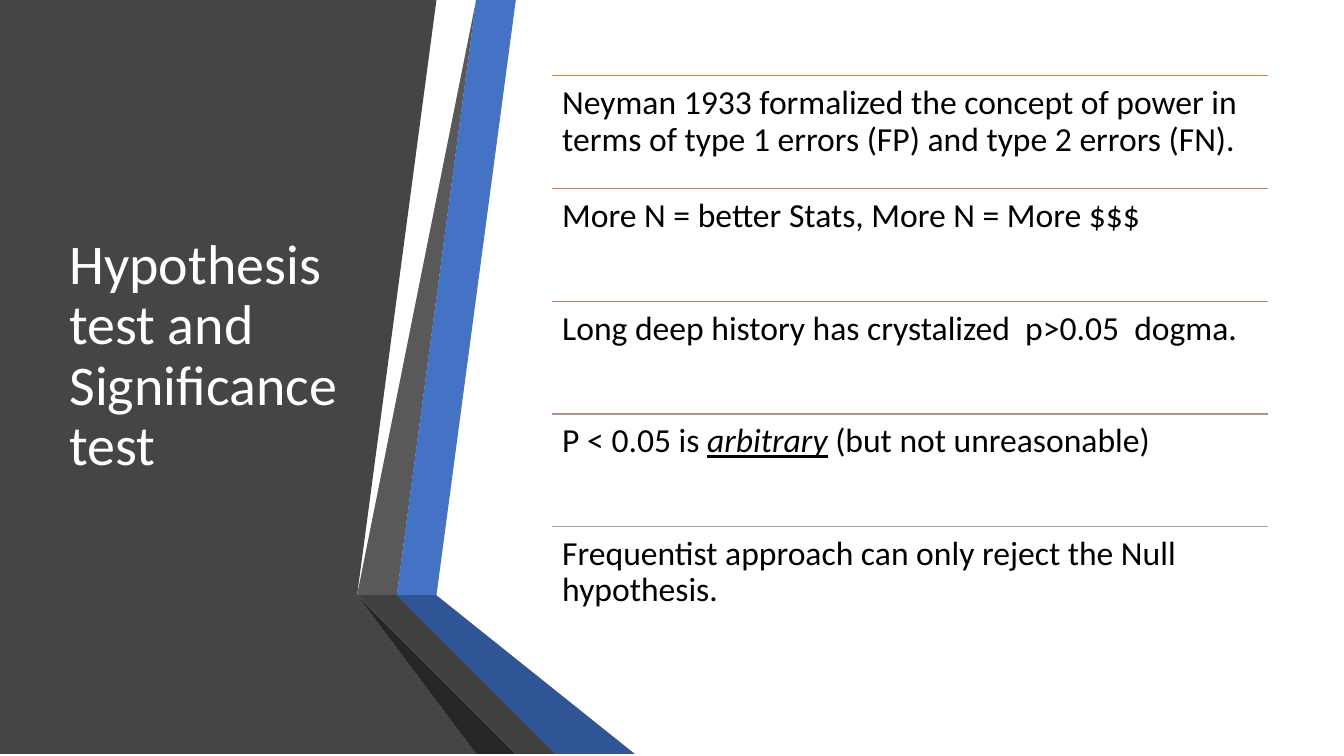
from dataclasses import dataclass

from lxml.etree import SubElement
from pptx import Presentation
from pptx.dml.color import RGBColor
from pptx.enum.shapes import MSO_CONNECTOR
from pptx.enum.text import MSO_ANCHOR, MSO_AUTO_SIZE, PP_ALIGN
from pptx.oxml.ns import qn
from pptx.util import Cm, Pt


@dataclass(frozen=True)
class Theme:
    font: str = "Calibri"
    title_size: int = 40
    statement_size: int = 24
    line_spacing: float = 0.9
    rule_width: int = 1
    title: str = "FFFFFF"
    text: str = "000000"
    panel: str = "454545"
    blue: str = "4472C4"
    blue_fold: str = "2F5597"
    blue_edge: str = "203864"
    grey: str = "595959"
    grey_fold: str = "404040"
    grey_edge: str = "262626"
    rules: tuple = ("ED7D31", "D87A51", "C48170", "B4908B", "A5A5A5")


THEME = Theme()
SLIDE_WIDTH, SLIDE_HEIGHT = 33.87, 19.05
LIST_LEFT, LIST_TOP, LIST_WIDTH, ROW_HEIGHT = 13.92, 1.91, 18.03, 2.84

RIBBONS = (
    (THEME.panel, ((0, 0), (11.4, 0), (9.04, 14.63), (12.24, SLIDE_HEIGHT), (0, SLIDE_HEIGHT))),
    (THEME.blue, ((10.06, 14.68), (10.74, 14.81), (13.18, 0), (12.47, 0))),
    (THEME.grey, ((12.32, 0), (11.61, 0), (9.22, 14.55), (9.91, 14.66))),
    (THEME.grey_edge, ((9.22, 14.55), (12.47, SLIDE_HEIGHT), (12.62, SLIDE_HEIGHT))),
    (THEME.blue_edge, ((10.06, 14.71), (14.07, SLIDE_HEIGHT), (14.22, SLIDE_HEIGHT))),
    (THEME.blue_fold, ((10.06, 14.71), (14.22, SLIDE_HEIGHT), (15.98, SLIDE_HEIGHT),
                       (10.74, 14.81), (10.06, 14.68))),
    (THEME.grey_fold, ((13.92, SLIDE_HEIGHT), (10.03, 14.81), (9.88, 14.68), (9.91, 14.66),
                       (9.22, 14.55), (12.62, SLIDE_HEIGHT))),
)

STATEMENTS = (
    (("Neyman 1933 formalized the concept of power in terms of type 1 errors (FP) "
      "and type 2 errors (FN).", False),),
    (("More N = better Stats, More N = More $$$", False),),
    (("Long deep history has crystalized  p>0.05  dogma.", False),),
    (("P < 0.05 is ", False), ("arbitrary", True), (" (but not unreasonable)", False)),
    (("Frequentist approach can only reject the Null hypothesis.", False),),
)


def add_ribbon(slide, color, points):
    builder = slide.shapes.build_freeform(*points[0], scale=Cm(1))
    builder.add_line_segments(points[1:], close=True)
    shape = builder.convert_to_shape()
    shape.shadow.inherit = False
    shape.fill.solid()
    shape.fill.fore_color.rgb = RGBColor.from_string(color)
    shape.line.fill.background()


def write_runs(shape, runs, size, color, anchor):
    frame = shape.text_frame
    frame.word_wrap = True
    frame.auto_size = MSO_AUTO_SIZE.NONE
    frame.vertical_anchor = anchor
    frame.margin_left = frame.margin_right = Cm(0.25)
    frame.margin_top = frame.margin_bottom = Cm(0.25)
    paragraph = frame.paragraphs[0]
    paragraph.alignment = PP_ALIGN.LEFT
    paragraph.line_spacing = THEME.line_spacing
    for text, stressed in runs:
        run = paragraph.add_run()
        run.text = text
        run.font.name = THEME.font
        run.font.size = Pt(size)
        run.font.color.rgb = RGBColor.from_string(color)
        if stressed:
            run.font.italic = True
            run.font.underline = True


def add_title(slide, text):
    title = slide.shapes.title
    title.left, title.top, title.width, title.height = Cm(1.5), Cm(1.91), Cm(7.72), Cm(14.17)
    write_runs(title, ((text, False),), THEME.title_size, THEME.title, MSO_ANCHOR.MIDDLE)
    slide.shapes.element.append(title.element)


def add_rule(slide, top, color):
    rule = slide.shapes.add_connector(
        MSO_CONNECTOR.STRAIGHT, Cm(LIST_LEFT), Cm(top), Cm(LIST_LEFT + LIST_WIDTH), Cm(top))
    rule.line.color.rgb = RGBColor.from_string(color)
    rule.line.width = Pt(THEME.rule_width)
    SubElement(rule.element.spPr, qn("a:effectLst"))


def add_statement(slide, top, runs):
    box = slide.shapes.add_textbox(Cm(LIST_LEFT), Cm(top), Cm(LIST_WIDTH), Cm(ROW_HEIGHT))
    write_runs(box, runs, THEME.statement_size, THEME.text, MSO_ANCHOR.TOP)


def main():
    presentation = Presentation()
    presentation.slide_width = Cm(SLIDE_WIDTH)
    presentation.slide_height = Cm(SLIDE_HEIGHT)
    slide = presentation.slides.add_slide(presentation.slide_layouts.get_by_name("Title Only"))
    for color, points in RIBBONS:
        add_ribbon(slide, color, points)
    add_title(slide, "Hypothesis test and Significance test")
    for row, (color, runs) in enumerate(zip(THEME.rules, STATEMENTS)):
        top = LIST_TOP + row * ROW_HEIGHT
        add_rule(slide, top, color)
        add_statement(slide, top, runs)
    presentation.save("out.pptx")


if __name__ == "__main__":
    main()
